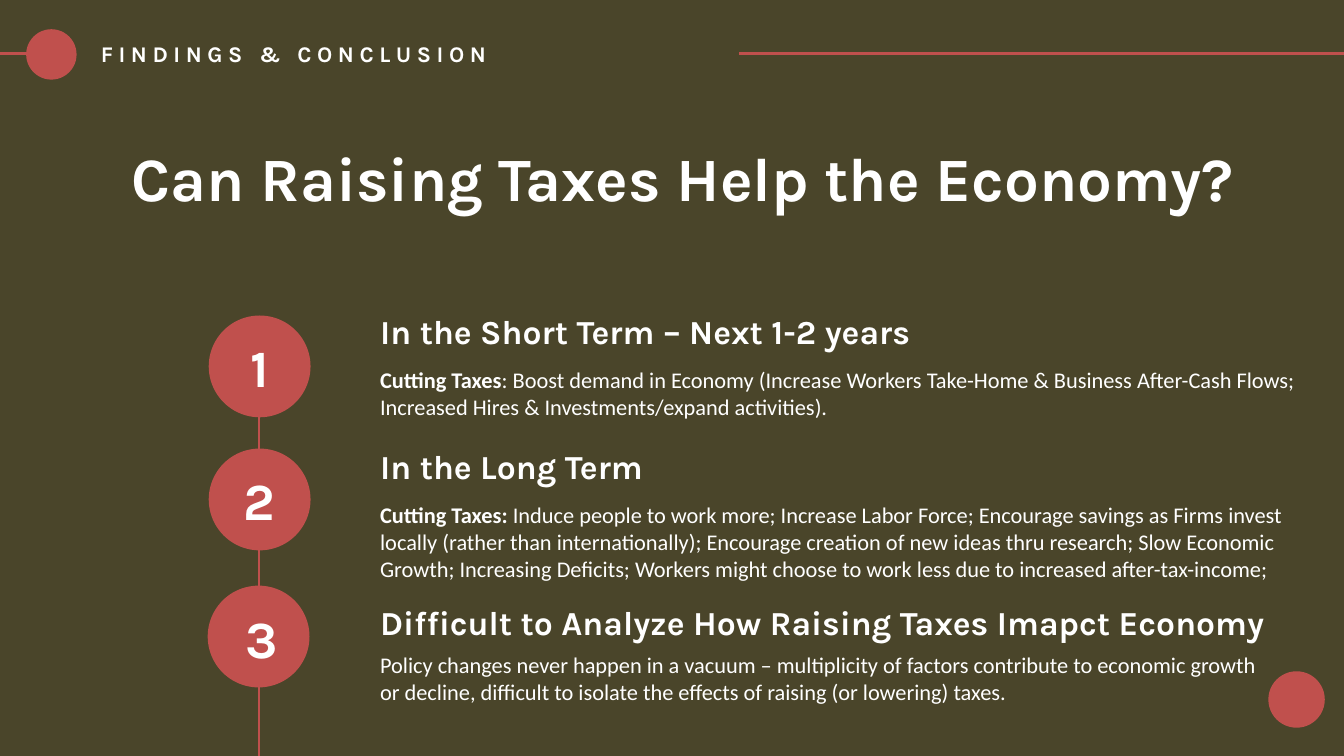
from dataclasses import dataclass

from lxml import etree
from pptx import Presentation
from pptx import util as u
from pptx.dml.color import RGBColor
from pptx.enum import shapes, text
from pptx.oxml import ns

PX = 9144
OLIVE = "4A452A"
RED = "C0504D"
WHITE = "FFFFFF"
TITLE = {"name": "Karla", "size": u.Pt(44), "bold": True}
LABEL = {"name": "Karla", "size": u.Pt(16), "bold": True}
HEADING = {"name": "Karla", "size": u.Pt(24), "bold": True}
NUMBER = {"name": "Karla", "size": u.Pt(37.3), "bold": True}
LEAD = {"name": "Calibri", "size": u.Pt(16), "bold": True}
BODY = {"name": "Calibri", "size": u.Pt(16), "bold": False}


@dataclass
class Box:
    left: int
    top: int
    width: int
    height: int

    def emu(self) -> list[int]:
        return [v * PX for v in (self.left, self.top, self.width, self.height)]


@dataclass
class Finding:
    circle: Box
    number: Box
    heading: str
    heading_box: Box
    lead: str
    body: str
    body_box: Box


FINDINGS = [
    Finding(
        Box(207, 313, 101, 101), Box(208, 324, 99, 79),
        "In the Short Term – Next 1-2 years", Box(377, 308, 884, 44),
        "Cutting Taxes",
        ": Boost demand in Economy (Increase Workers Take-Home & Business "
        "After-Cash Flows; Increased Hires & Investments/expand activities).",
        Box(377, 363, 919, 51),
    ),
    Finding(
        Box(207, 445, 101, 101), Box(208, 456, 99, 79),
        "In the Long Term", Box(377, 442, 690, 44),
        "Cutting Taxes: ",
        "Induce people to work more; Increase Labor Force; Encourage savings as "
        "Firms invest locally (rather than internationally); Encourage creation "
        "of new ideas thru research; Slow Economic Growth; Increasing Deficits; "
        "Workers might choose to work less due to increased after-tax-income;",
        Box(377, 497, 919, 44),
    ),
    Finding(
        Box(206, 581, 101, 101), Box(210, 593, 99, 79),
        "Difficult to Analyze How Raising Taxes Imapct Economy",
        Box(377, 597, 956, 44),
        "",
        "Policy changes never happen in a vacuum – multiplicity of factors "
        "contribute to economic growth or decline, difficult to isolate the "
        "effects of raising (or lowering) taxes.",
        Box(377, 646, 883, 44),
    ),
]


def rgb(value: str) -> RGBColor:
    return RGBColor.from_string(value)


def add_circle(s, box: Box) -> None:
    sp = s.shapes.add_shape(shapes.MSO_SHAPE.OVAL, *box.emu())
    sp.shadow.inherit = False
    sp.fill.solid()
    sp.fill.fore_color.rgb = rgb(RED)
    sp.line.fill.background()


def add_rule(s, x1: int, y1: int, x2: int, y2: int) -> None:
    ends = [v * PX for v in (x1, y1, x2, y2)]
    sp = s.shapes.add_connector(shapes.MSO_CONNECTOR.STRAIGHT, *ends)
    sp.line.color.rgb = rgb(RED)
    sp.line.width = u.Pt(2)
    etree.SubElement(sp._element.spPr, ns.qn("a:effectLst"))


def add_text(s, box: Box, runs: list[tuple[str, dict]],
             centred: bool = False, spacing: int = 0) -> None:
    tf = s.shapes.add_textbox(*box.emu()).text_frame
    tf.word_wrap = True
    tf.margin_left = tf.margin_top = tf.margin_right = tf.margin_bottom = 0
    p = tf.paragraphs[0]
    if centred:
        tf.vertical_anchor = text.MSO_ANCHOR.MIDDLE
        p.alignment = text.PP_ALIGN.CENTER
    for words, style in runs:
        r = p.add_run()
        r.text = words
        for key, value in style.items():
            setattr(r.font, key, value)
        r.font.color.rgb = rgb(WHITE)
        if spacing:
            r._r.get_or_add_rPr().set("spc", str(spacing * 100))


def add_finding(s, number: int, finding: Finding) -> None:
    add_circle(s, finding.circle)
    add_text(s, finding.number, [(str(number), NUMBER)], centred=True)
    add_text(s, finding.heading_box, [(finding.heading, HEADING)])
    runs = [(finding.lead, LEAD), (finding.body, BODY)]
    add_text(s, finding.body_box, [run for run in runs if run[0]])


def main() -> None:
    prs = Presentation()
    prs.slide_width, prs.slide_height = 1333 * PX, 750 * PX
    s = prs.slides.add_slide(prs.slide_layouts[6])
    s.background.fill.solid()
    s.background.fill.fore_color.rgb = rgb(OLIVE)

    add_circle(s, Box(1258, 666, 56, 56))
    add_circle(s, Box(26, 29, 50, 50))
    add_rule(s, 56, 53, 0, 53)
    add_rule(s, 1333, 53, 733, 53)
    add_rule(s, 257, 375, 257, 750)

    add_text(s, Box(12, 139, 1347, 72),
             [("Can Raising Taxes Help the Economy? ", TITLE)], centred=True)
    add_text(s, Box(100, 40, 633, 26),
             [("FINDINGS & CONCLUSION", LABEL)], spacing=4)
    for number, finding in enumerate(FINDINGS, 1):
        add_finding(s, number, finding)

    prs.save("out.pptx")


if __name__ == "__main__":
    main()
